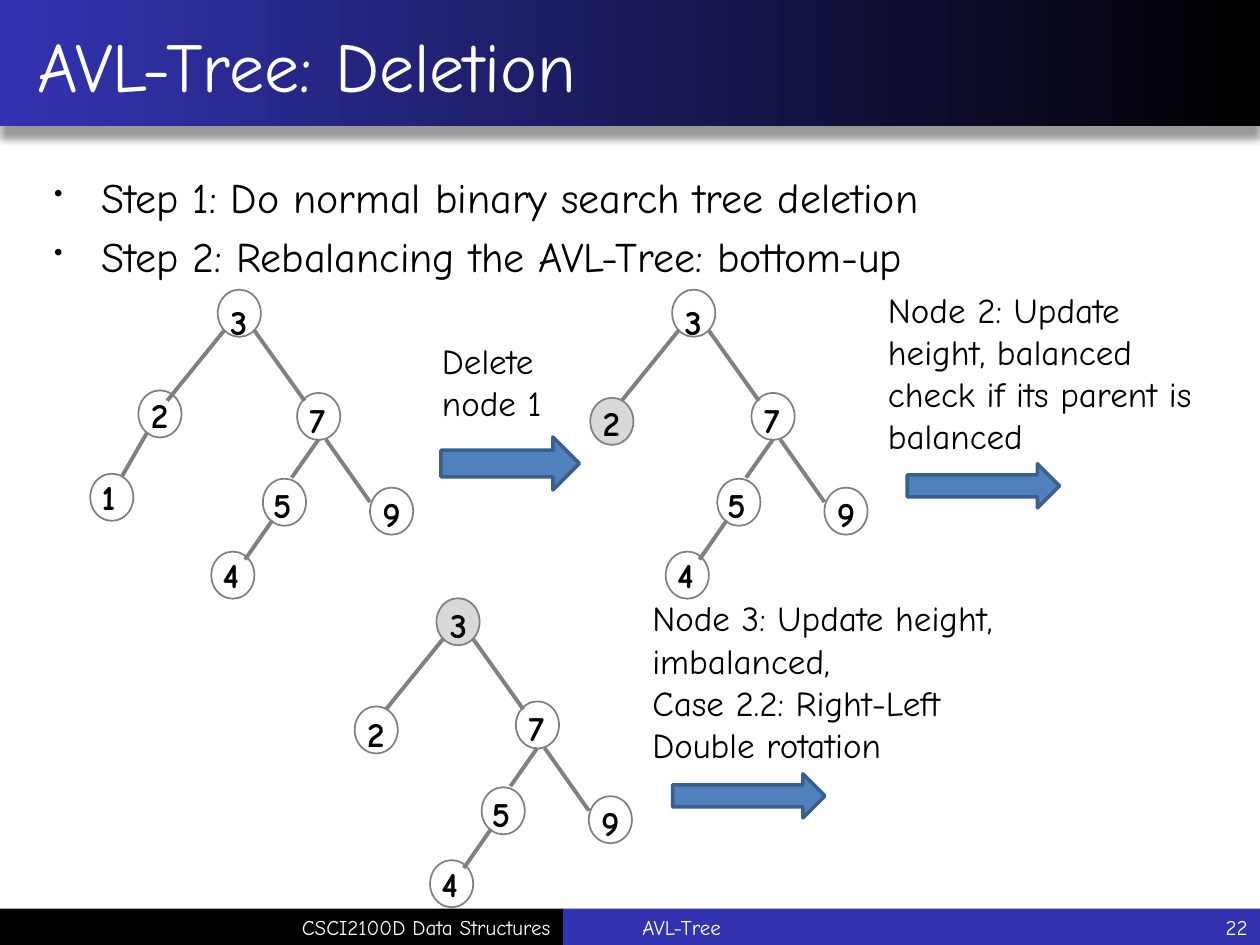
"""Builds the AVL-tree deletion slide."""
from lxml.etree import SubElement
from pptx import Presentation
from pptx.dml.color import RGBColor
from pptx.enum.shapes import MSO_CONNECTOR, MSO_SHAPE
from pptx.enum.text import MSO_ANCHOR, PP_ALIGN
from pptx.oxml.ns import qn
from pptx.util import Cm, Pt

NODE_W, NODE_H = 0.87, 0.95
NODES = {"3": (0, 0), "7": (1.6, 2.08), "5": (0.91, 3.81),
         "9": (3.07, 3.99), "4": (-0.13, 5.28)}
EDGES = [(0.14, 0.81, -1.02, 2.24), (0.73, 0.81, 1.75, 2.24),
         (2.03, 3.02, 1.49, 3.79), (2.18, 3.02, 3.07, 4.28),
         (1.1, 4.65, 0.55, 5.44)]
LABEL_SHIFT = {"3": (0, 0.1), "5": (-0.05, -0.02), "4": (-0.02, -0.08),
               "2": (0, -0.06), "1": (-0.02, -0.08)}
LOW_LEFT = {"2": (-1.65, 2.18)}
TREES = [
    ((4.39, 5.84), {"2": (-1.6, 2.03), "1": (-2.57, 3.71)},
     [(-1.42, 2.87, -1.93, 3.76)], None, {}),
    ((13.55, 5.84), LOW_LEFT, [], "2", {}),
    ((8.8, 12.06), LOW_LEFT, [], "3", {"3": (0.02, -0.02), "2": (0, 0)}),
]
STEPS = [
    ((8.66, 6.71, 3.05, 1.96), ["Delete node 1"], (8.89, 8.81, 2.79, 1.07)),
    ((17.65, 5.69, 7.14, 3.68),
     ["Node 2: Update height, balanced", "check if its parent is balanced"],
     (18.29, 9.35, 3.07, 0.89)),
    ((12.9, 11.91, 7.8, 3.68),
     ["Node 3: Update height, imbalanced,", "Case 2.2: Right-Left",
      "Double rotation"], (13.56, 15.6, 3.07, 0.89)),
]


def rgb(value):
    """Turn a hex string into a colour."""
    return RGBColor.from_string(value)


class Deck:
    """Holds the style and the current slide."""

    font = "Comic Neue"
    black, white, blue = "000000", "FFFFFF", "3333B2"
    gray, marked = "808080", "D9D9D9"
    arrow_fill, arrow_line = "4F81BD", "3A5F8C"

    def __init__(self, prs):
        """Add a blank slide."""
        self.s = prs.slides.add_slide(prs.slide_layouts[6])

    def shape(self, kind, box, fill=None, line=None, width=1, parent=None):
        """Draw a preset shape."""
        sp = (parent or self.s).shapes.add_shape(kind, *map(Cm, box))
        sp.shadow.inherit = False
        if fill:
            sp.fill.solid()
            sp.fill.fore_color.rgb = rgb(fill)
        else:
            sp.fill.background()
        if line:
            sp.line.color.rgb = rgb(line)
            sp.line.width = Pt(width)
        else:
            sp.line.fill.background()
        return sp

    def banner(self, box):
        """Draw the gradient title band with its shadow."""
        sp = self.shape(MSO_SHAPE.RECTANGLE, box)
        sp.fill.gradient()
        sp.fill.gradient_angle = 180
        for stop, color in zip(sp.fill.gradient_stops, (self.black, self.blue)):
            stop.color.rgb = rgb(color)
        effects = sp._element.spPr.find(qn("a:effectLst"))
        shadow = SubElement(effects, qn("a:outerShdw"), blurRad=str(Pt(4)),
                            dist=str(Pt(7)), dir="5400000", rotWithShape="0")
        color = SubElement(shadow, qn("a:srgbClr"), val=self.black)
        SubElement(color, qn("a:alpha"), val="40000")

    def text(self, box, lines, size=20, color=black, bold=False, wrap=True,
             anchor=MSO_ANCHOR.TOP, align=PP_ALIGN.LEFT, indent=0,
             bullet=False, parent=None):
        """Write paragraphs in a text box."""
        sp = (parent or self.s).shapes.add_textbox(*map(Cm, box))
        tf = sp.text_frame
        tf.word_wrap = wrap
        tf.vertical_anchor = anchor
        for i, line in enumerate(lines):
            p = tf.paragraphs[0] if i == 0 else tf.add_paragraph()
            p.alignment = align
            if indent:
                p._p.get_or_add_pPr().set("marL", str(Cm(indent)))
            if bullet:
                pPr = p._p.get_or_add_pPr()
                pPr.set("indent", str(-Cm(indent)))
                SubElement(pPr, qn("a:buSzPct"), val="60000")
                SubElement(pPr, qn("a:buChar"), char="•")
                if i:
                    p.space_before = Pt(size * 0.2)
            r = p.add_run()
            r.text = line
            r.font.name = self.font
            r.font.size = Pt(size)
            r.font.bold = bold
            r.font.color.rgb = rgb(color)

    def edge(self, ends, parent):
        """Draw a tree edge."""
        c = parent.shapes.add_connector(MSO_CONNECTOR.STRAIGHT, *map(Cm, ends))
        c.line.color.rgb = rgb(self.gray)
        c.line.width = Pt(2.25)
        SubElement(c._element.spPr, qn("a:effectLst"))

    def tree(self, origin, extra_nodes, extra_edges, current, shifts):
        """Draw one tree as a group, with the current node shaded."""
        x, y = origin
        group = self.s.shapes.add_group_shape()
        shifts = {**LABEL_SHIFT, **shifts}
        for key, (dx, dy) in {**NODES, **extra_nodes}.items():
            left, top = x + dx, y + dy
            self.shape(MSO_SHAPE.OVAL, (left, top, NODE_W, NODE_H),
                       self.marked if key == current else None,
                       self.gray, parent=group)
            sx, sy = shifts.get(key, (0, -0.02))
            self.text((left + sx, top + sy, 0.94, 1.11), [key], bold=True,
                      wrap=False, parent=group)
        for x1, y1, x2, y2 in EDGES + extra_edges:
            self.edge((x + x1, y + y1, x + x2, y + y2), group)

    def step(self, text_box, lines, arrow_box):
        """Write a step with its block arrow."""
        self.shape(MSO_SHAPE.RIGHT_ARROW, arrow_box, self.arrow_fill,
                   self.arrow_line, 2)
        self.text(text_box, lines)

    def footer(self, top, height, split, width):
        """Draw the footer bars and their texts."""
        for left, right, color in ((split, width, self.blue),
                                   (0, split, self.black)):
            self.shape(MSO_SHAPE.RECTANGLE, (left, top, right - left, height),
                       color)
        for left, w, line, align in (
                (0, split, "CSCI2100D Data Structures", PP_ALIGN.RIGHT),
                (12.7, 9, "AVL-Tree", PP_ALIGN.LEFT),
                (22.22, 3.18, "22", PP_ALIGN.RIGHT)):
            self.text((left, top, w, height), [line], 12, self.white,
                      anchor=MSO_ANCHOR.MIDDLE, align=align)


def main():
    """Build and save the slide."""
    prs = Presentation()
    prs.slide_width, prs.slide_height = Cm(25.4), Cm(19.05)
    d = Deck(prs)
    d.banner((0, -0.03, 25.4, 2.57))
    d.footer(18.32, 0.73, 11.35, 25.4)
    d.text((0, 0.05, 25.4, 2.49), ["AVL-Tree: Deletion"], 40, d.white,
           anchor=MSO_ANCHOR.MIDDLE, indent=0.51)
    d.text((0.84, 3.33, 23.29, 13.69),
           ["Step 1: Do normal binary search tree deletion",
            "Step 2: Rebalancing the AVL-Tree: bottom-up"],
           24, indent=0.95, bullet=True)
    for tree in TREES:
        d.tree(*tree)
    for step in STEPS:
        d.step(*step)
    prs.save("out.pptx")


if __name__ == "__main__":
    main()
